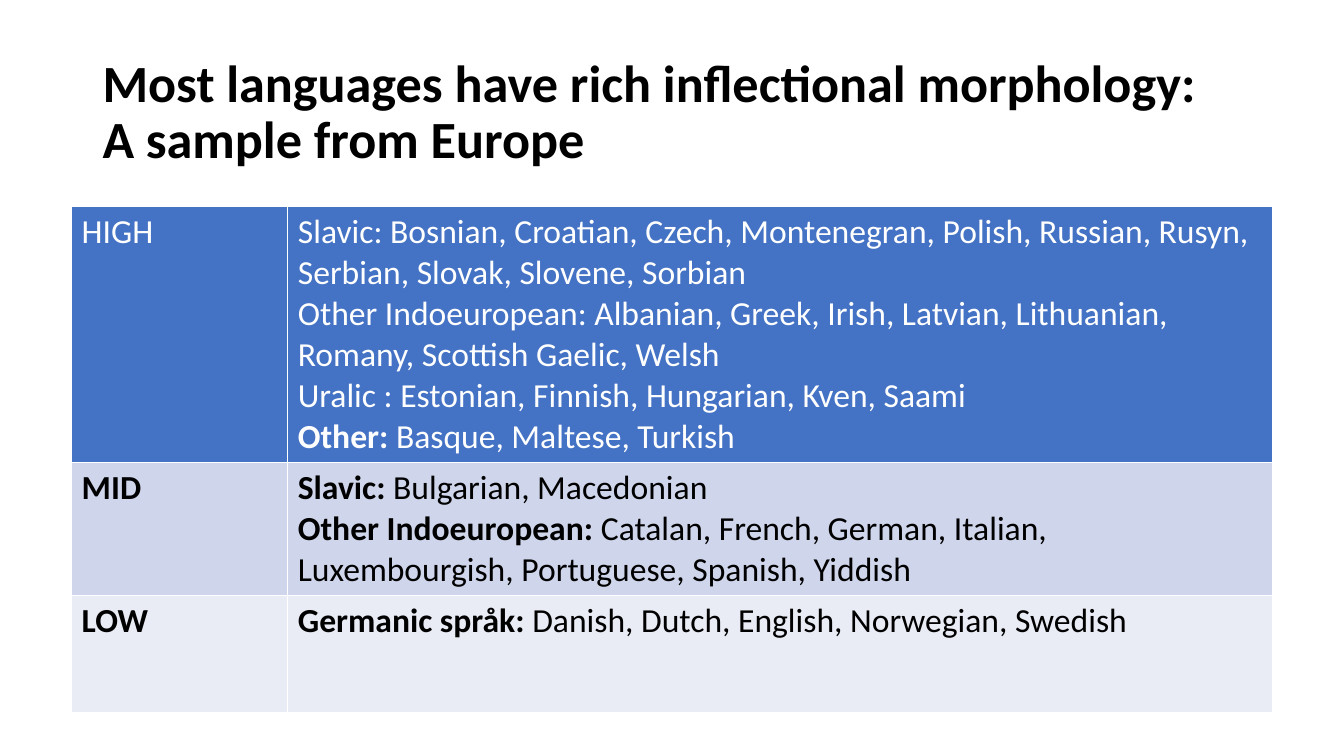
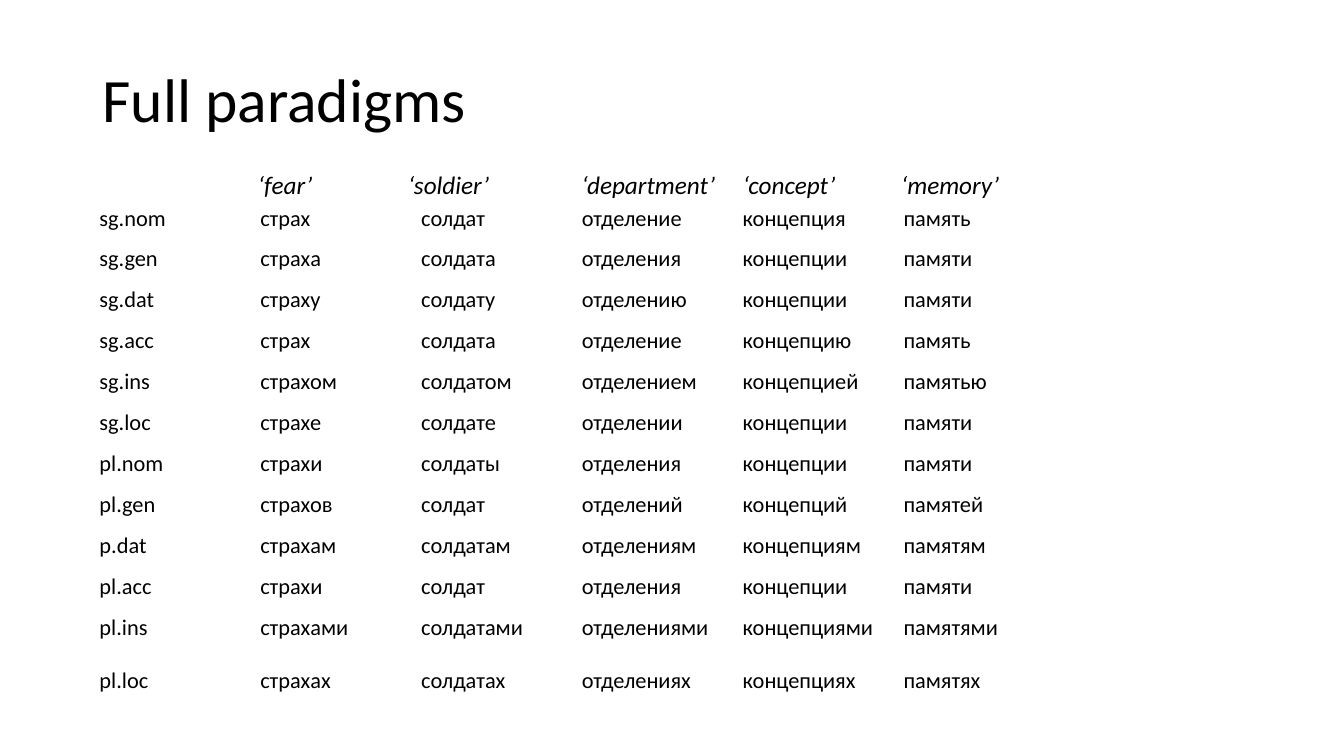
from pptx import Presentation
from pptx.dml.color import RGBColor
from pptx.enum.text import MSO_ANCHOR as Anchor, MSO_AUTO_SIZE as Fit, PP_ALIGN as Align
from pptx.oxml.ns import qn
from pptx.util import Inches, Pt
from lxml.etree import SubElement

WIDTH, HEIGHT = Inches(13.33), Inches(7.5)
FONT = "Calibri"
BLACK = RGBColor(0, 0, 0)
WHITE = RGBColor(0xFF, 0xFF, 0xFF)
BLUE = RGBColor(0x44, 0x72, 0xC4)
MIST = RGBColor(0xCF, 0xD5, 0xEA)
PALE = RGBColor(0xE9, 0xEB, 0xF5)
PLAIN = "{2D5ABB26-0587-4C30-8999-92F81FD0307C}"

# Each line is a bold lead and the plain words after it.
LEVELS = [
    (BLUE, WHITE, ("", "HIGH"), [
        ("", "Slavic: Bosnian, Croatian, Czech, Montenegran, Polish, Russian, "
             "Rusyn, Serbian, Slovak, Slovene, Sorbian"),
        ("", "Other Indoeuropean: Albanian, Greek, Irish, Latvian, Lithuanian, "
             "Romany, Scottish Gaelic, Welsh"),
        ("", "Uralic : Estonian, Finnish, Hungarian, Kven, Saami"),
        ("Other: ", "Basque, Maltese, Turkish")]),
    (MIST, BLACK, ("MID", ""), [
        ("Slavic: ", "Bulgarian, Macedonian"),
        ("Other Indoeuropean: ", "Catalan, French, German, Italian, "
                                 "Luxembourgish, Portuguese, Spanish, Yiddish")]),
    (PALE, BLACK, ("LOW", ""), [
        ("Germanic språk: ", "Danish, Dutch, English, Norwegian, Swedish")]),
]

FORMS = [line.split() for line in """\
sg.nom страх солдат отделение концепция память
sg.gen страха солдата отделения концепции памяти
sg.dat страху солдату отделению концепции памяти
sg.acc страх солдата отделение концепцию память
sg.ins страхом солдатом отделением концепцией памятью
sg.loc страхе солдате отделении концепции памяти
pl.nom страхи солдаты отделения концепции памяти
pl.gen страхов солдат отделений концепций памятей
p.dat страхам солдатам отделениям концепциям памятям
pl.acc страхи солдат отделения концепции памяти
pl.ins страхами солдатами отделениями концепциями памятями
pl.loc страхах солдатах отделениях концепциях памятях""".splitlines()]

# Each gloss with its tab stop in inches.
GLOSSES = [("‘fear’", 2.02), ("‘soldier’", 3.51), ("‘department’", 5.23),
           ("‘concept’", 6.83), ("‘memory’", 8.4)]


def area(left, top, width, height):
    """Turn percentages of the slide into lengths."""
    return (int(WIDTH * left / 100), int(HEIGHT * top / 100),
            int(WIDTH * width / 100), int(HEIGHT * height / 100))


def style(run, size, color=BLACK, bold=False, italic=False):
    font = run.font
    font.name, font.size = FONT, Pt(size)
    font.bold, font.italic = bold, italic
    font.color.rgb = color


def add_title(deck, text, box, size, bold=False):
    """Add a title-only slide and return it."""
    slide = deck.slides.add_slide(deck.slide_layouts[5])
    title = slide.shapes.title
    title.left, title.top, title.width, title.height = box
    frame = title.text_frame
    frame.text = text
    frame.auto_size, frame.vertical_anchor = Fit.NONE, Anchor.MIDDLE
    para = frame.paragraphs[0]
    para.alignment, para.line_spacing = Align.LEFT, 0.9
    for run in para.runs:
        style(run, size, bold=bold)
    return slide


def add_grid(slide, box, cols, rows):
    """Add an unstyled table whose columns and rows share the box by weight."""
    table = slide.shapes.add_table(len(rows), len(cols), *box).table
    table.first_row = table.horz_banding = False
    table._tbl.tblPr.find(qn("a:tableStyleId")).text = PLAIN
    for col, part in zip(table.columns, cols):
        col.width = int(box[2] * part / sum(cols))
    for row, part in zip(table.rows, rows):
        row.height = int(box[3] * part / sum(rows))
    return table


def add_edges(cell, color):
    props = cell._tc.get_or_add_tcPr()
    for side in ("lnL", "lnR", "lnT", "lnB"):
        line = SubElement(props, qn("a:" + side), w=str(Pt(1)))
        fill = SubElement(line, qn("a:solidFill"))
        SubElement(fill, qn("a:srgbClr"), val=str(color))


def write(frame, lines, size, color):
    """Write one paragraph for each pair of bold and plain words."""
    for i, pair in enumerate(lines):
        para = frame.add_paragraph() if i else frame.paragraphs[0]
        for text, bold in zip(pair, (True, False)):
            if text:
                run = para.add_run()
                run.text = text
                style(run, size, color, bold)


def add_levels(slide, box):
    table = add_grid(slide, box, (0.18, 0.82), (2.5, 1.3, 1.16))
    for row, (fill, color, name, lines) in zip(table.rows, LEVELS):
        for cell, text in zip(row.cells, ([name], lines)):
            add_edges(cell, WHITE)
            cell.fill.solid()
            cell.fill.fore_color.rgb = fill
            write(cell.text_frame, text, 24, color)


def add_forms(slide, box):
    heights = [0.41] * len(FORMS)
    heights[-2] = 0.53
    table = add_grid(slide, box, [1] * len(FORMS[0]), heights)
    for row, words in zip(table.rows, FORMS):
        for cell, word in zip(row.cells, words):
            cell.margin_left = cell.margin_right = Inches(0.07)
            cell.margin_top = cell.margin_bottom = 0
            cell.fill.background()
            write(cell.text_frame, [("", word)], 16, BLACK)


def add_glosses(slide, box):
    frame = slide.shapes.add_textbox(*box).text_frame
    frame.word_wrap = True
    para = frame.paragraphs[0]
    tabs = SubElement(para._p.get_or_add_pPr(), qn("a:tabLst"))
    for _, stop in GLOSSES:
        SubElement(tabs, qn("a:tab"), pos=str(Inches(stop)), algn="l")
    para.text = "".join("\t" + word for word, _ in GLOSSES)
    for run in para.runs:
        style(run, 18, italic=True)


def main():
    deck = Presentation()
    deck.slide_width, deck.slide_height = WIDTH, HEIGHT

    sample = add_title(
        deck, "Most languages have rich inflectional morphology:\vA sample from Europe",
        area(6.88, 5.33, 86.25, 19.33), 37.3, bold=True)
    add_levels(sample, area(5.33, 27.33, 89.35, 66.13))

    full = add_title(deck, "Full paradigms", area(6.88, 5.33, 86.25, 16.4), 44)
    add_forms(full, area(6.88, 27.07, 71.8, 66.53))
    add_glosses(full, area(3.3, 21.73, 80.05, 5.33))

    deck.save("out.pptx")


if __name__ == "__main__":
    main()
